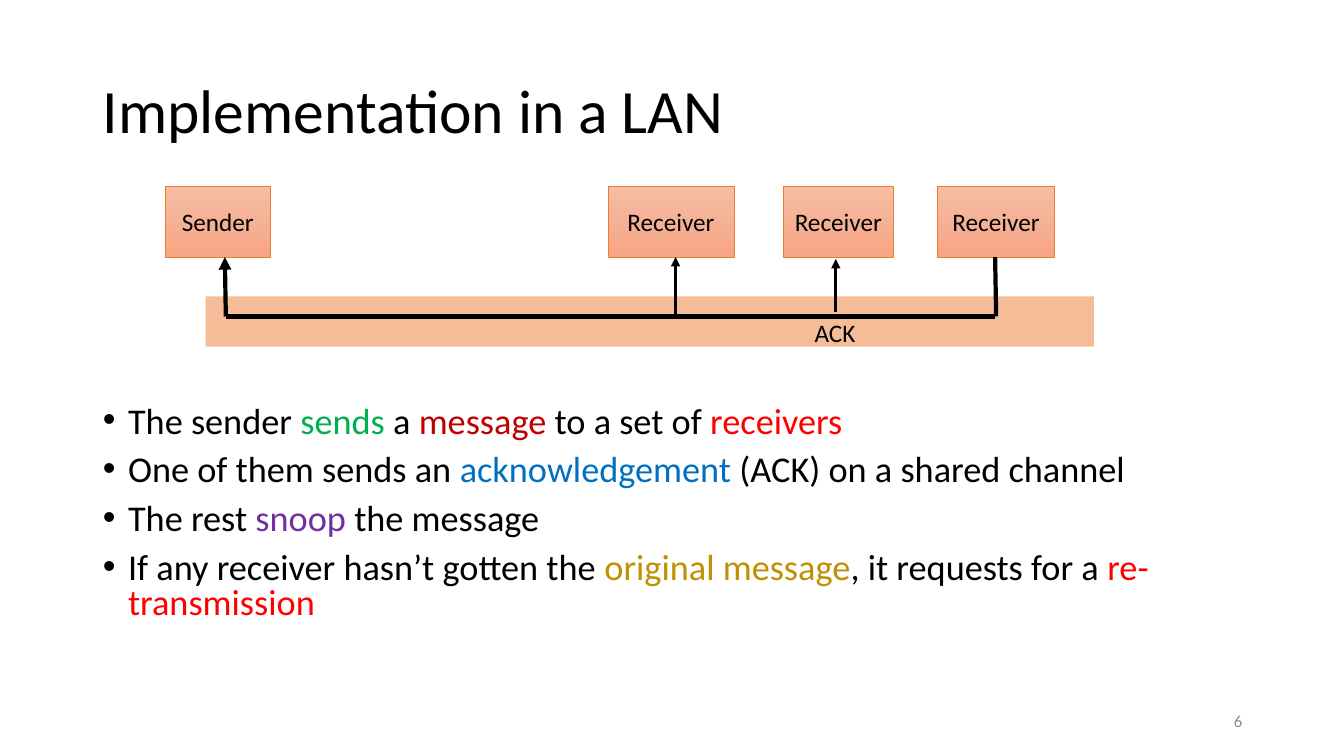
import copy
from dataclasses import dataclass, field

import lxml.etree
import pptx
import pptx.dml.color
import pptx.enum.shapes
import pptx.enum.text
import pptx.oxml.ns
import pptx.util

Inches = pptx.util.Inches
Pt = pptx.util.Pt
Align = pptx.enum.text.PP_ALIGN
Anchor = pptx.enum.text.MSO_ANCHOR
RECT = pptx.enum.shapes.MSO_SHAPE.RECTANGLE
STRAIGHT = pptx.enum.shapes.MSO_CONNECTOR.STRAIGHT
qn = pptx.oxml.ns.qn


@dataclass(frozen=True)
class Theme:
    font: str = "Calibri"
    title: float = 44
    body: float = 25.9
    label: float = 18
    small: float = 12
    black: str = "000000"
    gray: str = "8C8C8C"
    orange: str = "ED7D31"
    green: str = "00B050"
    maroon: str = "C00000"
    red: str = "FF0000"
    blue: str = "0070C0"
    purple: str = "7030A0"
    gold: str = "BF9000"
    shade: dict = field(default_factory=lambda: {0: "F7BDA5", 50: "F5B196", 100: "F8A582"})


@dataclass(frozen=True)
class Node:
    name: str
    left: float
    width: float


@dataclass(frozen=True)
class Wire:
    start: tuple[float, float]
    end: tuple[float, float]
    weight: float = 3
    arrow: bool = False


@dataclass(frozen=True)
class Span:
    text: str
    color: str = "000000"


THEME = Theme()
TOP, TALL = 1.85, 0.7
BASE = TOP + TALL
BUS = 3.14

NODES = [
    Node("Sender", 1.64, 1.04),
    Node("Receiver", 6.03, 1.25),
    Node("Receiver", 7.77, 1.09),
    Node("Receiver", 9.3, 1.16),
]
WIRES = [
    Wire((9.87, BASE), (9.88, BUS)),
    Wire((9.87, BUS), (2.24, BUS)),
    Wire((2.24, BUS), (2.23, BASE), arrow=True),
    Wire((8.29, 3.1), (8.29, 2.57), 2.25, True),
    Wire((6.7, BUS), (6.7, BASE), 2.25, True),
]
POINTS = [
    [Span("The sender "), Span("sends", THEME.green), Span(" a "),
     Span("message", THEME.maroon), Span(" to a set of "), Span("receivers", THEME.red)],
    [Span("One of them sends an "), Span("acknowledgement", THEME.blue),
     Span(" (ACK) on a shared channel")],
    [Span("The rest "), Span("snoop", THEME.purple), Span(" the message")],
    [Span("If any receiver hasn’t gotten the "), Span("original message", THEME.gold),
     Span(", it requests for a "), Span("re-transmission", THEME.red)],
]


def rgb(code: str) -> pptx.dml.color.RGBColor:
    return pptx.dml.color.RGBColor.from_string(code)


def write(para, spans: list[Span], size: float, align=Align.LEFT) -> None:
    para.alignment = align
    for span in spans:
        run = para.add_run()
        run.text = span.text
        run.font.name = THEME.font
        run.font.size = Pt(size)
        run.font.color.rgb = rgb(span.color)


def place(shape, left: float, top: float, width: float, height: float) -> None:
    shape.left, shape.top = Inches(left), Inches(top)
    shape.width, shape.height = Inches(width), Inches(height)


def add_rect(slide, left: float, top: float, width: float, height: float):
    rect = slide.shapes.add_shape(RECT, *map(Inches, (left, top, width, height)))
    rect.shadow.inherit = False
    return rect


def add_bus(slide) -> None:
    """Draw the half transparent shared channel."""
    bus = add_rect(slide, 2.04, 2.94, 8.81, 0.5)
    bus.fill.solid()
    bus.fill.fore_color.rgb = rgb(THEME.orange)
    tint = bus.fill._xPr.find(qn("a:solidFill"))[0]
    lxml.etree.SubElement(tint, qn("a:alpha"), val="50000")
    bus.line.fill.background()


def add_node(slide, node: Node) -> None:
    box = add_rect(slide, node.left, TOP, node.width, TALL)
    box.fill.gradient()
    box.fill.gradient_angle = 270
    stops = box.fill._xPr.find(qn("a:gradFill")).find(qn("a:gsLst"))
    stops.append(copy.deepcopy(stops[0]))
    for stop, (spot, code) in zip(box.fill.gradient_stops, THEME.shade.items()):
        stop.position = spot / 100
        stop.color.rgb = rgb(code)
    box.line.color.rgb = rgb(THEME.orange)
    box.line.width = Pt(0.5)
    frame = box.text_frame
    frame.vertical_anchor = Anchor.MIDDLE
    frame.word_wrap = True
    write(frame.paragraphs[0], [Span(node.name)], THEME.label, Align.CENTER)


def add_wire(slide, wire: Wire) -> None:
    line = slide.shapes.add_connector(STRAIGHT, *map(Inches, wire.start + wire.end))
    line.line.color.rgb = rgb(THEME.black)
    line.line.width = Pt(wire.weight)
    if wire.arrow:
        lxml.etree.SubElement(line.line._get_or_add_ln(), qn("a:tailEnd"), type="triangle")
    lxml.etree.SubElement(line._element.spPr, qn("a:effectLst"))


def add_title(slide) -> None:
    title = slide.shapes.title
    place(title, 0.92, 0.4, 11.5, 1.45)
    title.text_frame.vertical_anchor = Anchor.MIDDLE
    para = title.text_frame.paragraphs[0]
    para.line_spacing = 0.9
    write(para, [Span("Implementation in a LAN")], THEME.title)


def add_list(slide) -> None:
    body = slide.placeholders[1]
    place(body, 0.92, 3.98, 11.5, 2.34)
    frame = body.text_frame
    frame.auto_size = pptx.enum.text.MSO_AUTO_SIZE.NONE
    for rank, spans in enumerate(POINTS):
        para = frame.add_paragraph() if rank else frame.paragraphs[0]
        props = para._p.get_or_add_pPr()
        props.set("marL", str(Inches(0.25)))
        props.set("indent", str(Inches(-0.25)))
        lxml.etree.SubElement(props, qn("a:buFont"), typeface="Arial")
        lxml.etree.SubElement(props, qn("a:buChar"), char="•")
        para.line_spacing = 0.8
        para.space_before = Pt(10 if rank else 0)
        write(para, spans, THEME.body)


def add_label(slide, left: float, top: float, width: float, height: float):
    return slide.shapes.add_textbox(*map(Inches, (left, top, width, height))).text_frame


def main() -> None:
    deck = pptx.Presentation()
    deck.slide_width, deck.slide_height = Inches(13.33), Inches(7.5)
    slide = deck.slides.add_slide(deck.slide_layouts[1])
    add_title(slide)
    add_list(slide)

    number = add_label(slide, 9.42, 6.95, 3, 0.4)
    number.word_wrap = True
    number.vertical_anchor = Anchor.MIDDLE
    write(number.paragraphs[0], [Span("6", THEME.gray)], THEME.small, Align.RIGHT)

    add_bus(slide)
    for node in NODES:
        add_node(slide, node)
    for wire in WIRES:
        add_wire(slide, wire)

    ack = add_label(slide, 7.98, 3.1, 0.61, 0.4)
    ack.word_wrap = False
    write(ack.paragraphs[0], [Span("ACK")], THEME.label)
    deck.save("out.pptx")


if __name__ == "__main__":
    main()
